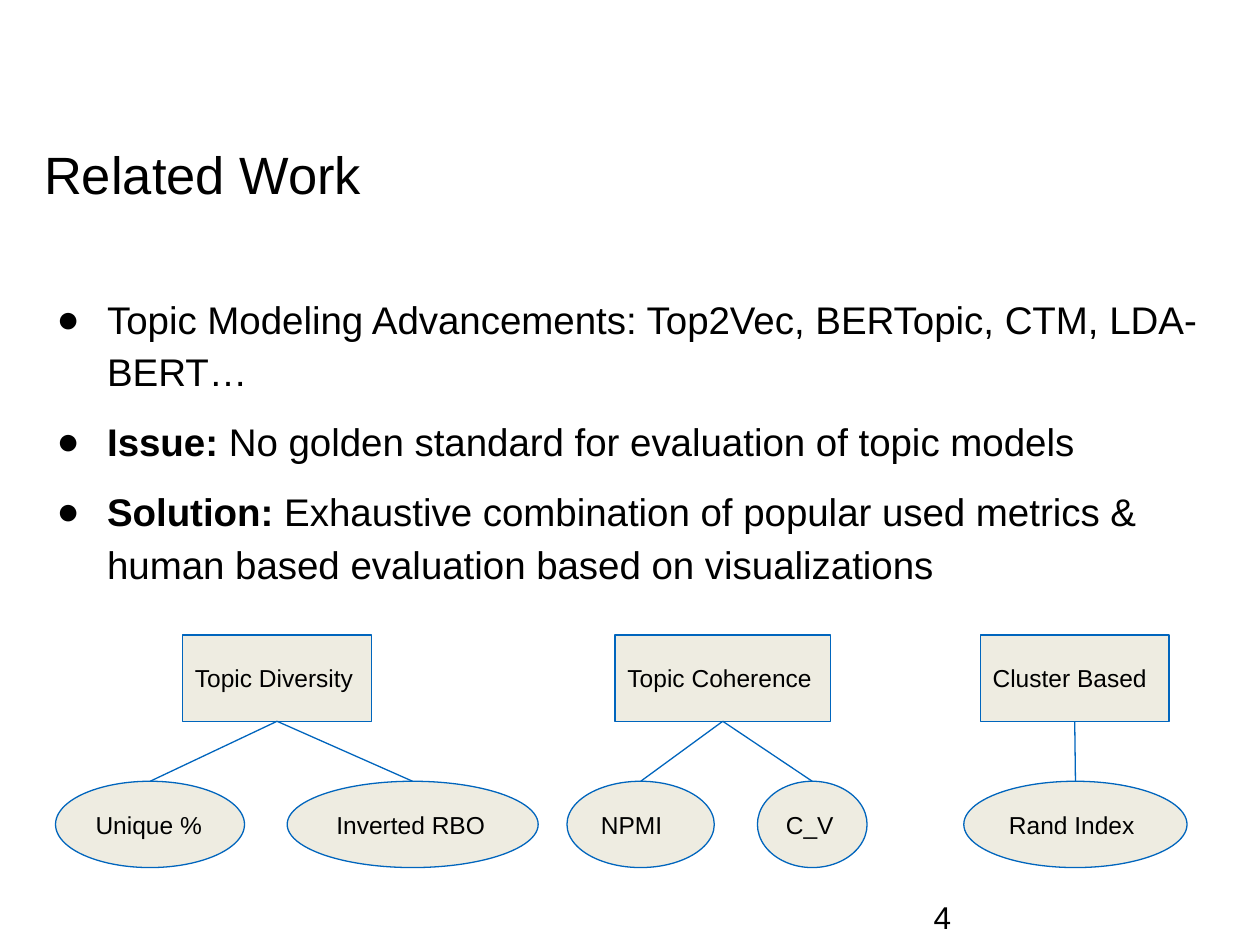
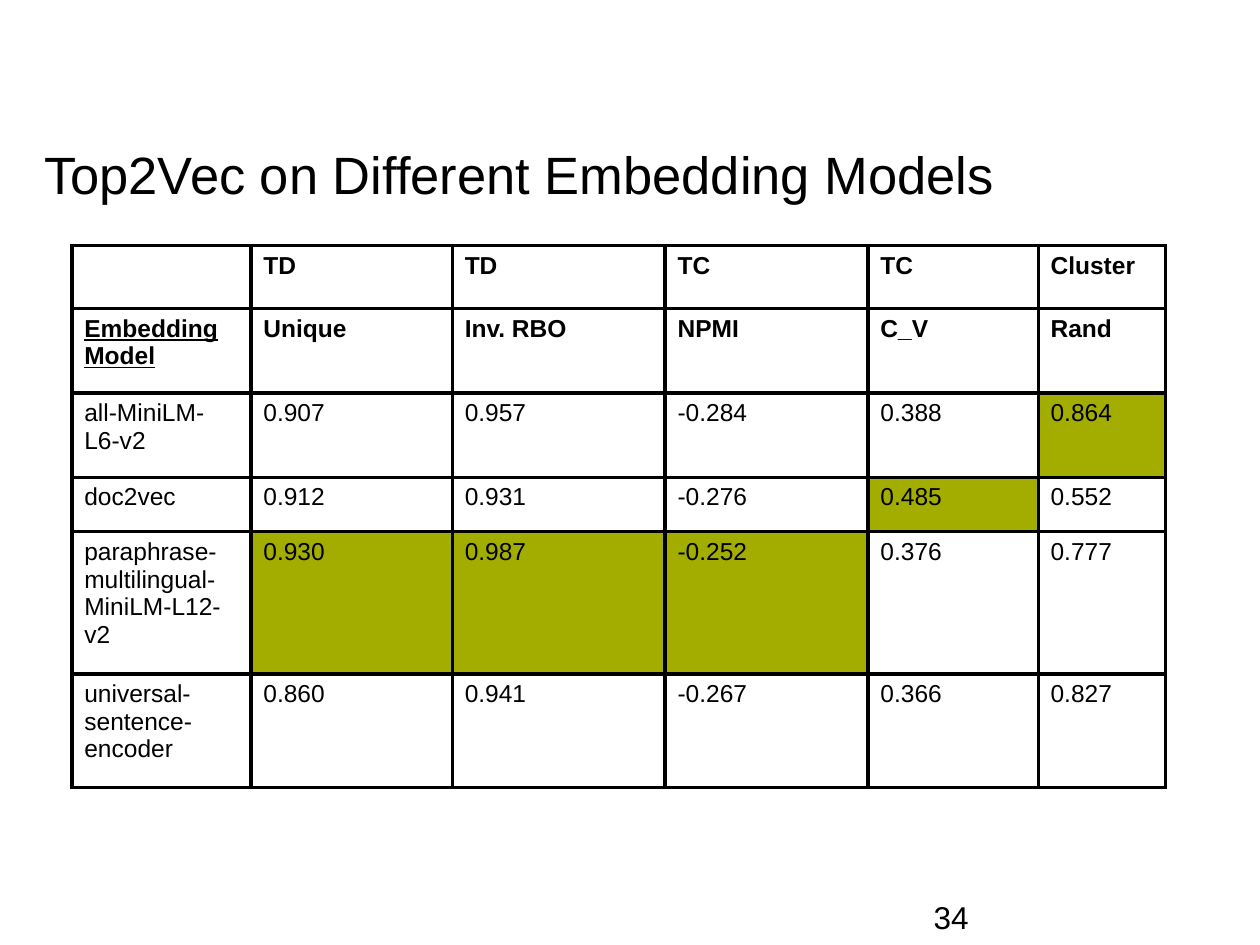
"""Build two slides on topic model evaluation: related work and embedding results."""
from dataclasses import dataclass
from typing import Optional

from lxml.etree import SubElement
from pptx import Presentation
from pptx.dml.color import RGBColor
from pptx.enum.shapes import MSO_CONNECTOR as Connector
from pptx.enum.shapes import MSO_SHAPE as Preset
from pptx.enum.text import MSO_ANCHOR as Anchor
from pptx.oxml.ns import qn
from pptx.util import Cm, Pt


@dataclass(frozen=True)
class Theme:
    font: str = "Arial"
    ink: RGBColor = RGBColor(0x00, 0x00, 0x00)
    blue: RGBColor = RGBColor(0x00, 0x65, 0xBD)
    sand: RGBColor = RGBColor(0xEE, 0xEC, 0xE1)
    best: RGBColor = RGBColor(0xA2, 0xAD, 0x00)
    title_size: float = 30
    title_leading: float = 38
    body_size: float = 22
    body_leading: float = 30
    body_gap: float = 10
    number_size: float = 18
    label_size: float = 14
    outline: float = 0.75
    grid: float = 2.2


@dataclass(frozen=True)
class Box:
    left: float
    top: float
    width: float
    height: float

    def lengths(self) -> tuple:
        return Cm(self.left), Cm(self.top), Cm(self.width), Cm(self.height)


@dataclass(frozen=True)
class Node:
    label: str
    left: float
    width: float


@dataclass(frozen=True)
class MetricGroup:
    parent: Node
    metrics: tuple[Node, ...]


@dataclass(frozen=True)
class Bullet:
    text: str
    lead: str = ""


THEME = Theme()
TITLE_BOX = Box(0.89, 2.79, 23.62, 1.14)
NUMBER_BOX = Box(18.82, 17.98, 5.69, 1.02)
BODY_BOX = Box(0.89, 5.84, 23.62, 8)
TABLE_BOX = Box(1.45, 4.95, 22.05, 10.92)

PARENT_TOP, METRIC_TOP, NODE_HEIGHT = 12.8, 15.75, 1.74

BULLETS = (
    Bullet("Topic Modeling Advancements: Top2Vec, BERTopic, CTM, LDA-BERT…"),
    Bullet("No golden standard for evaluation of topic models", "Issue: "),
    Bullet("Exhaustive combination of popular used metrics & "
           "human based evaluation based on visualizations", "Solution: "),
)

METRIC_GROUPS = (
    MetricGroup(Node("Topic Diversity", 3.68, 3.81),
                (Node("Unique %", 1.12, 3.81), Node("Inverted RBO", 5.79, 5.06))),
    MetricGroup(Node("Topic Coherence", 12.4, 4.34),
                (Node("NPMI", 11.43, 2.97), Node("C_V", 15.27, 2.21))),
    MetricGroup(Node("Cluster Based", 19.76, 3.81),
                (Node("Rand Index", 19.43, 4.5),)),
)

COLUMN_WIDTHS = (3.61, 4.06, 4.29, 4.09, 3.43, 2.57)
ROW_HEIGHTS = (1.27, 1.7, 1.7, 1.1, 2.87, 2.29)
HEADERS = (
    ("", "TD", "TD", "TC", "TC", "Cluster"),
    ("Embedding Model", "Unique", "Inv. RBO", "NPMI", "C_V", "Rand"),
)
RESULTS = (
    ("all-MiniLM-L6-v2", "0.907", "0.957", "-0.284", "0.388", "0.864"),
    ("doc2vec", "0.912", "0.931", "-0.276", "0.485", "0.552"),
    ("paraphrase-multilingual-MiniLM-L12-v2", "0.930", "0.987", "-0.252", "0.376", "0.777"),
    ("universal-sentence-encoder", "0.860", "0.941", "-0.267", "0.366", "0.827"),
)


def add_run(paragraph, text: str, size: float, bold: bool = False,
            underline: bool = False) -> None:
    run = paragraph.add_run()
    run.text = text
    font = run.font
    font.name, font.size = THEME.font, Pt(size)
    font.bold, font.underline = bold, underline
    font.color.rgb = THEME.ink


def prepare_frame(frame, anchor, horizontal: float = 0, vertical: float = 0) -> None:
    frame.word_wrap = True
    frame.vertical_anchor = anchor
    frame.margin_left = frame.margin_right = Cm(horizontal)
    frame.margin_top = frame.margin_bottom = Cm(vertical)


def add_text_box(slide, box: Box, anchor=Anchor.TOP, vertical: float = 0):
    frame = slide.shapes.add_textbox(*box.lengths()).text_frame
    prepare_frame(frame, anchor, vertical=vertical)
    return frame


def add_base_slide(presentation, title: str, number: int):
    slide = presentation.slides.add_slide(presentation.slide_layouts[6])
    paragraph = add_text_box(slide, TITLE_BOX).paragraphs[0]
    paragraph.line_spacing = Pt(THEME.title_leading)
    add_run(paragraph, title, THEME.title_size)
    footer = add_text_box(slide, NUMBER_BOX, Anchor.MIDDLE, 0.13)
    add_run(footer.paragraphs[0], str(number), THEME.number_size)
    return slide


def set_bullet(paragraph) -> None:
    properties = paragraph._p.get_or_add_pPr()
    properties.set("marL", str(Cm(1.27)))
    properties.set("indent", str(Cm(-1.02)))
    color = SubElement(properties, qn("a:buClr"))
    SubElement(color, qn("a:srgbClr"), val=str(THEME.ink))
    SubElement(properties, qn("a:buFont"), typeface=THEME.font)
    SubElement(properties, qn("a:buChar"), char="●")


def add_bullets(slide, bullets: tuple[Bullet, ...]) -> None:
    frame = add_text_box(slide, BODY_BOX)
    for index, bullet in enumerate(bullets):
        paragraph = frame.add_paragraph() if index else frame.paragraphs[0]
        set_bullet(paragraph)
        paragraph.line_spacing = Pt(THEME.body_leading)
        if index:
            paragraph.space_before = Pt(THEME.body_gap)
        if bullet.lead:
            add_run(paragraph, bullet.lead, THEME.body_size, bold=True)
        add_run(paragraph, bullet.text, THEME.body_size)


def set_outline(shape) -> None:
    shape.line.color.rgb = THEME.blue
    shape.line.width = Pt(THEME.outline)


def add_node(slide, preset, node: Node, top: float):
    box = Box(node.left, top, node.width, NODE_HEIGHT)
    shape = slide.shapes.add_shape(preset, *box.lengths())
    shape.shadow.inherit = False
    shape.fill.solid()
    shape.fill.fore_color.rgb = THEME.sand
    set_outline(shape)
    prepare_frame(shape.text_frame, Anchor.MIDDLE, 0.25, 0.25)
    paragraph = shape.text_frame.paragraphs[0]
    paragraph.alignment = 1
    add_run(paragraph, node.label, THEME.label_size)
    return shape


def join(slide, parent, metric) -> None:
    connector = slide.shapes.add_connector(Connector.STRAIGHT, 0, 0, 0, 0)
    connector.begin_connect(parent, 2)
    connector.end_connect(metric, 0)
    set_outline(connector)
    SubElement(connector._element.spPr, qn("a:effectLst"))


def add_metric_group(slide, group: MetricGroup) -> None:
    parent = add_node(slide, Preset.RECTANGLE, group.parent, PARENT_TOP)
    for node in group.metrics:
        join(slide, parent, add_node(slide, Preset.OVAL, node, METRIC_TOP))


def set_borders(cell) -> None:
    properties = cell._tc.get_or_add_tcPr()
    for side in ("lnL", "lnR", "lnT", "lnB"):
        line = SubElement(properties, qn(f"a:{side}"), w=str(Pt(THEME.grid)))
        fill = SubElement(line, qn("a:solidFill"))
        SubElement(fill, qn("a:srgbClr"), val=str(THEME.ink))


def fill_cell(cell, text: str, color: Optional[RGBColor], bold: bool,
              underline: bool) -> None:
    set_borders(cell)
    if color is None:
        cell.fill.background()
    else:
        cell.fill.solid()
        cell.fill.fore_color.rgb = color
    cell.margin_left = cell.margin_right = Cm(0.25)
    cell.margin_top = cell.margin_bottom = Cm(0.13)
    if text:
        add_run(cell.text_frame.paragraphs[0], text, THEME.label_size, bold, underline)


def add_results_table(slide) -> None:
    rows = HEADERS + RESULTS
    table = slide.shapes.add_table(
        len(rows), len(COLUMN_WIDTHS), *TABLE_BOX.lengths()).table
    table.first_row = table.horz_banding = False
    for column, width in zip(table.columns, COLUMN_WIDTHS):
        column.width = Cm(width)
    for row, height in zip(table.rows, ROW_HEIGHTS):
        row.height = Cm(height)
    best = [None] + [max(scores, key=float) for scores in list(zip(*RESULTS))[1:]]
    for row_index, values in enumerate(rows):
        header = row_index < len(HEADERS)
        for column_index, text in enumerate(values):
            color = THEME.best if text == best[column_index] else None
            fill_cell(table.cell(row_index, column_index), text, color, header,
                      header and column_index == 0)


def add_related_work(presentation) -> None:
    slide = add_base_slide(presentation, "Related Work", 4)
    add_bullets(slide, BULLETS)
    for group in METRIC_GROUPS:
        add_metric_group(slide, group)


def add_embedding_results(presentation) -> None:
    slide = add_base_slide(presentation, "Top2Vec on Different Embedding Models", 34)
    add_results_table(slide)


def main() -> None:
    presentation = Presentation()
    presentation.slide_width, presentation.slide_height = Cm(25.4), Cm(19.05)
    add_related_work(presentation)
    add_embedding_results(presentation)
    presentation.save("out.pptx")


if __name__ == "__main__":
    main()
